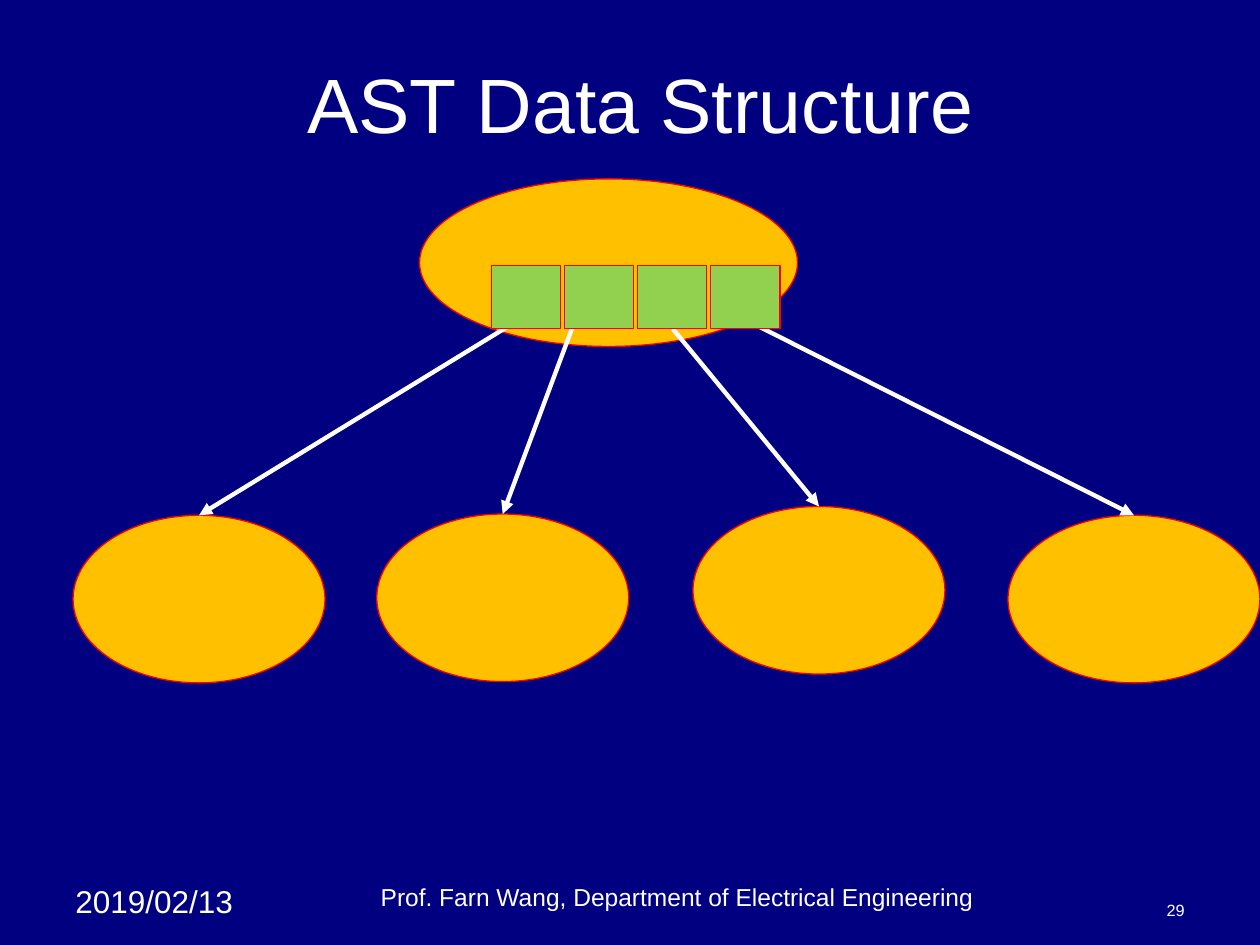
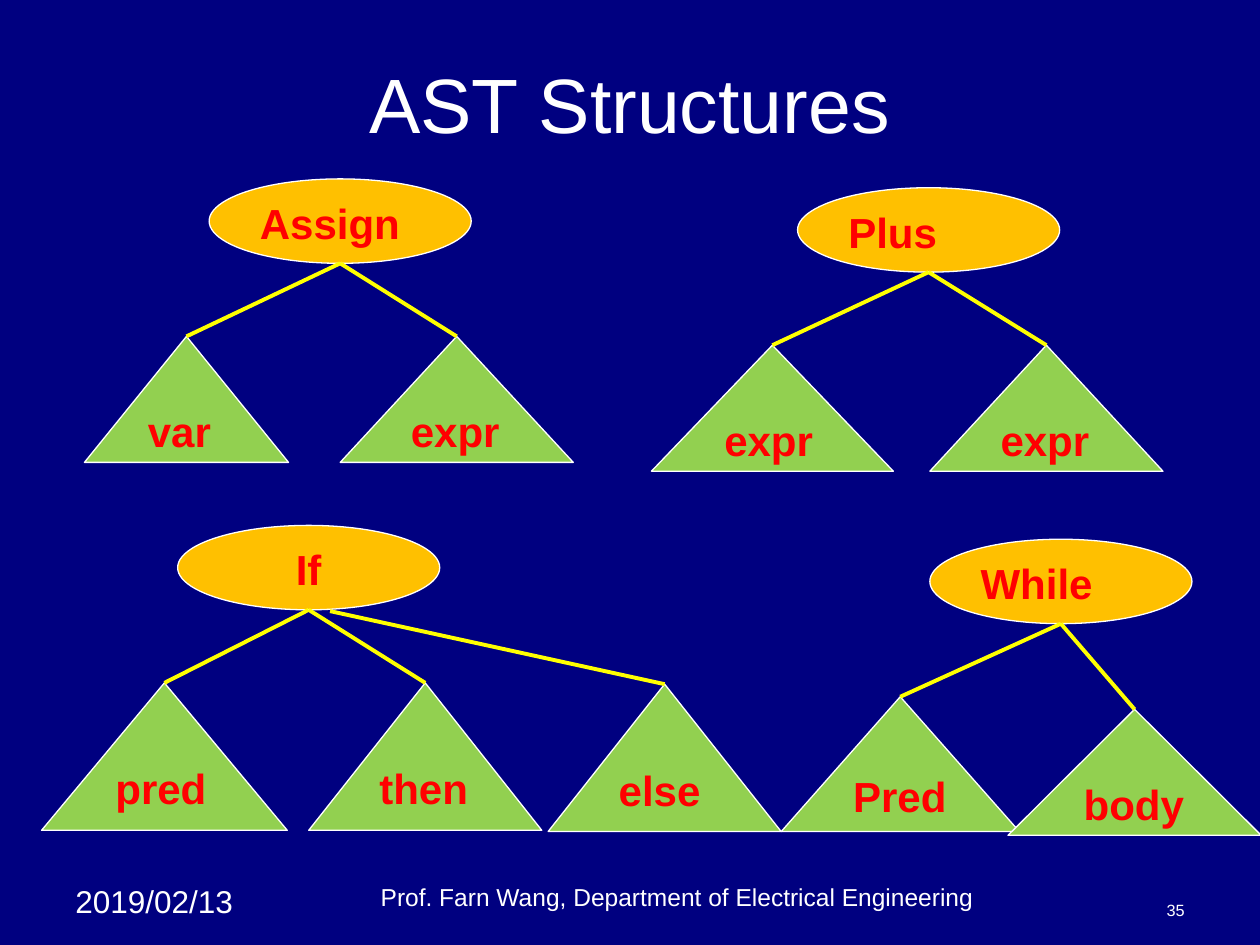
import pptx
import pptx.dml.color
import pptx.enum.shapes
import pptx.enum.text
import pptx.oxml
import pptx.oxml.ns
import pptx.util
from dataclasses import dataclass

Inches = pptx.util.Inches
Shape = pptx.enum.shapes.MSO_SHAPE
Align = pptx.enum.text.PP_ALIGN
Anchor = pptx.enum.text.MSO_ANCHOR


@dataclass(frozen=True)
class Theme:
    font: str = "Arial"
    background: str = "000080"
    text: str = "FFFFFF"
    label: str = "FF0000"
    outline: str = "FF0000"
    node: str = "FFC000"
    leaf: str = "92D050"
    branch: str = "FFFF00"
    title_size: float = 44
    label_size: float = 24
    date_size: float = 18
    footer_size: float = 14
    number_size: float = 9.3
    outline_width: float = 0.75
    branch_width: float = 2.25
    arrow_width: float = 2.5


@dataclass(frozen=True)
class Leaf:
    label: str
    left: float
    top: float
    width: float
    height: float
    start_shift: tuple = (0, 0)  # where the branch leaves the node


@dataclass(frozen=True)
class Tree:
    label: str
    left: float
    top: float
    leaves: tuple
    align: Align = Align.LEFT


def color(value):
    return pptx.dml.color.RGBColor.from_string(value)


class Builder:
    """Holds the deck, its theme and the current page."""

    def __init__(self, theme):
        self.theme = theme
        self.deck = pptx.Presentation()
        self.deck.slide_width, self.deck.slide_height = Inches(10), Inches(7.5)
        fill = self.deck.slide_master.background.fill
        fill.solid()
        fill.fore_color.rgb = color(theme.background)
        self.page = None

    def set_text(self, frame, text, size, text_color, align=Align.LEFT,
                 anchor=Anchor.TOP, bold=False):
        frame.word_wrap = True
        frame.vertical_anchor = anchor
        frame.text = text
        paragraph = frame.paragraphs[0]
        paragraph.alignment = align
        font = paragraph.font
        font.name, font.size, font.bold = self.theme.font, pptx.util.Pt(size), bold
        font.color.rgb = color(text_color)

    def text(self, text, left, top, width, height, size, align=Align.LEFT,
             anchor=Anchor.TOP):
        box = self.page.shapes.add_textbox(
            Inches(left), Inches(top), Inches(width), Inches(height))
        self.set_text(box.text_frame, text, size, self.theme.text, align, anchor)

    def start_page(self, title, number, title_inset=0.1):
        theme = self.theme
        self.page = self.deck.slides.add_slide(self.deck.slide_layouts[5])
        box = self.page.shapes.title
        box.left, box.top = Inches(0.5), Inches(0.3)
        box.width, box.height = Inches(9), Inches(1.03)
        box.text_frame.margin_left = Inches(title_inset)
        self.set_text(box.text_frame, title, theme.title_size, theme.text,
                      Align.CENTER, Anchor.MIDDLE)
        # Footer band
        self.text("2019/02/13", 0.5, 6.95, 1.58, 0.4, theme.date_size)
        self.text("Prof. Farn Wang, Department of Electrical Engineering",
                  2, 6.95, 6.75, 0.33, theme.footer_size,
                  Align.CENTER, Anchor.BOTTOM)
        self.text(str(number), 7.17, 7.08, 2.33, 0.27, theme.number_size,
                  Align.RIGHT, Anchor.BOTTOM)

    def shape(self, kind, left, top, width, height, fill, outline,
              label="", align=Align.LEFT):
        shape = self.page.shapes.add_shape(
            kind, Inches(left), Inches(top), Inches(width), Inches(height))
        shape.shadow.inherit = False
        shape.fill.solid()
        shape.fill.fore_color.rgb = color(fill)
        shape.line.color.rgb = color(outline)
        shape.line.width = pptx.util.Pt(self.theme.outline_width)
        if label:
            self.set_text(shape.text_frame, label, self.theme.label_size,
                          self.theme.label, align, bold=True)

    def line(self, start, end, line_color, width, arrow=False):
        line = self.page.shapes.add_connector(
            pptx.enum.shapes.MSO_CONNECTOR.STRAIGHT,
            *(Inches(value) for value in (*start, *end)))
        line.line.color.rgb = color(line_color)
        line.line.width = pptx.util.Pt(width)
        properties = line._element.spPr
        if arrow:
            head = pptx.oxml.parse_xml(
                f'<a:tailEnd {pptx.oxml.ns.nsdecls("a")} type="triangle"/>')
            properties.find(pptx.oxml.ns.qn("a:ln")).append(head)
        properties.append(pptx.oxml.parse_xml(
            f'<a:effectLst {pptx.oxml.ns.nsdecls("a")}/>'))

    def tree(self, tree):
        theme = self.theme
        width, height = 2.08, 0.67
        self.shape(Shape.OVAL, tree.left, tree.top, width, height,
                   theme.node, theme.text, tree.label, tree.align)
        for leaf in tree.leaves:
            self.shape(Shape.ISOSCELES_TRIANGLE, leaf.left, leaf.top, leaf.width,
                       leaf.height, theme.leaf, theme.text, leaf.label)
        for leaf in tree.leaves:
            shift_x, shift_y = leaf.start_shift
            start = (tree.left + width / 2 + shift_x, tree.top + height + shift_y)
            self.line(start, (leaf.left + leaf.width / 2, leaf.top),
                      theme.branch, theme.branch_width)


def data_structure_page(builder):
    theme = builder.theme
    builder.start_page("AST Data Structure", 29, title_inset=0.27)
    # Parent and child nodes, with one arrow to each child
    builder.shape(Shape.OVAL, 3.33, 1.42, 3, 1.33, theme.node, theme.outline)
    children = [
        ((4.18, 2.5), 0.58, 4.09),
        ((4.58, 2.5), 2.99, 4.08),
        ((5.34, 2.61), 5.5, 4.02),
        ((6, 2.58), 8, 4.09),
    ]
    for start, left, top in children:
        builder.shape(Shape.OVAL, left, top, 2, 1.33, theme.node, theme.outline)
        builder.line(start, (left + 1, top), theme.text, theme.arrow_width, arrow=True)
    # Pointer slots
    for slot in range(len(children)):
        builder.shape(Shape.RECTANGLE, 3.9 + 0.58 * slot, 2.11, 0.55, 0.5,
                      theme.leaf, theme.outline)


def structures_page(builder):
    builder.start_page("AST Structures", 35)
    # One tree for each kind of statement or expression
    trees = [
        Tree("Assign", 1.66, 1.42, (
            Leaf("var", 0.67, 2.67, 1.62, 1),
            Leaf("expr", 2.7, 2.67, 1.85, 1))),
        Tree("Plus", 6.33, 1.49, (
            Leaf("expr", 5.17, 2.74, 1.92, 1),
            Leaf("expr", 7.38, 2.74, 1.85, 1))),
        Tree("If", 1.41, 4.17, (
            Leaf("pred", 0.33, 5.42, 1.95, 1.17),
            Leaf("then", 2.45, 5.42, 1.85, 1.17),
            Leaf("else", 4.35, 5.43, 1.85, 1.17, (0.17, 0.01))), Align.CENTER),
        Tree("While", 7.38, 4.28, (
            Leaf("Pred", 6.2, 5.53, 1.89, 1.07),
            Leaf("body", 8, 5.63, 2.01, 1))),
    ]
    for tree in trees:
        builder.tree(tree)


def main():
    builder = Builder(Theme())
    data_structure_page(builder)
    structures_page(builder)
    builder.deck.save("out.pptx")


if __name__ == "__main__":
    main()
